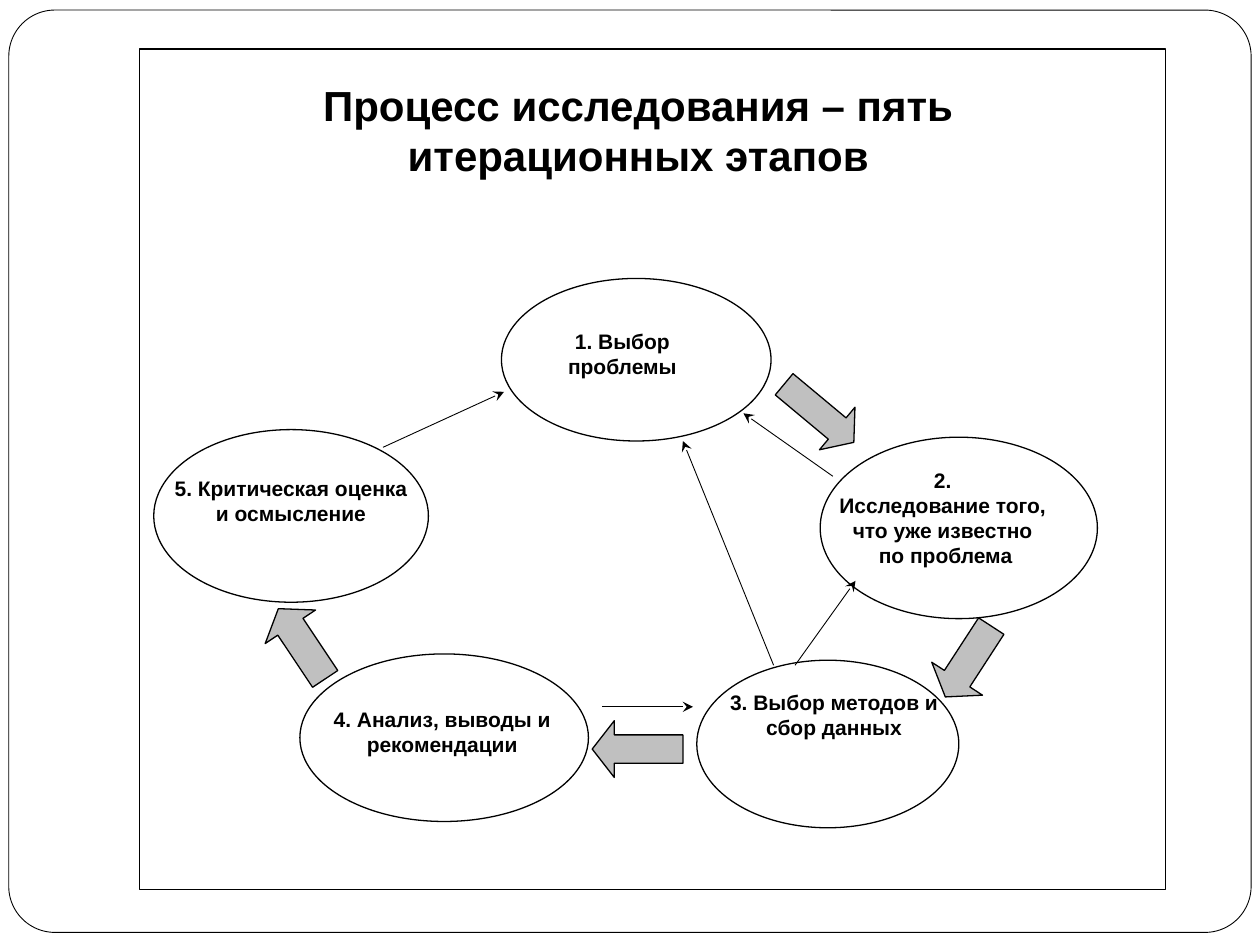
from dataclasses import dataclass
from typing import NamedTuple

from lxml.etree import SubElement
from pptx import Presentation
from pptx.dml.color import RGBColor as Rgb
from pptx.enum.shapes import MSO_CONNECTOR as Conn, MSO_SHAPE as Kind
from pptx.enum.text import MSO_ANCHOR as Anchor, MSO_AUTO_SIZE as Fit, PP_ALIGN as Align
from pptx.oxml.ns import qn
from pptx.util import Inches, Pt


@dataclass(frozen=True)
class Theme:
    font: str = "Arial"
    ink: Rgb = Rgb(0, 0, 0)
    paper: Rgb = Rgb(255, 255, 255)
    gray: Rgb = Rgb(192, 192, 192)
    head: int = 24
    label: int = 12
    thin: float = 0.5
    line: float = 0.75


class Box(NamedTuple):
    x: float
    y: float
    w: float
    h: float


class Stage(NamedTuple):
    oval: Box
    text: Box
    lines: list[str]


class Arrow(NamedTuple):
    box: Box
    turn: float
    tip: float


class Link(NamedTuple):
    x1: float
    y1: float
    x2: float
    y2: float


THEME = Theme()

STAGES = [
    Stage(Box(3.98, 2.21, 2.14, 1.29), Box(4.22, 2.61, 1.44, 0.67),
          ["1. Выбор проблемы"]),
    Stage(Box(6.51, 3.47, 2.2, 1.44), Box(6.07, 3.71, 2.87, 1.2),
          ["2. \vИсследование того, ", "что уже известно ", "по проблема"]),
    Stage(Box(5.53, 5.24, 2.08, 1.33), Box(5.66, 5.47, 1.92, 0.89),
          ["3. Выбор методов и сбор данных"]),
    Stage(Box(2.38, 5.19, 2.29, 1.33), Box(2.55, 5.61, 1.92, 0.67),
          ["4. Анализ, выводы и рекомендации"]),
    Stage(Box(1.22, 3.41, 2.18, 1.37), Box(1.35, 3.77, 1.92, 0.89),
          ["5. Критическая оценка и осмысление"]),
]

ARROWS = [
    Arrow(Box(6.14, 3.06, 0.72, 0.44), 219.8, 0.39),
    Arrow(Box(7.35, 5.01, 0.67, 0.48), 303, 0.36),
    Arrow(Box(4.7, 5.72, 0.72, 0.45), 0, 0.39),
    Arrow(Box(2.06, 4.87, 0.67, 0.48), 56.3, 0.36),
]

LINKS = [
    Link(3.04, 3.55, 4, 3.11),
    Link(6.61, 3.78, 5.9, 3.28),
    Link(6.31, 5.28, 6.79, 4.61),
    Link(4.78, 5.61, 5.5, 5.61),
    Link(6.14, 5.28, 5.42, 3.5),
]


def put_text(shape, lines: list[str], *, size: int, bold: bool = True,
             color: Rgb = THEME.ink, align=Align.CENTER) -> None:
    frame = shape.text_frame
    frame.word_wrap = True
    frame.auto_size = Fit.NONE
    frame.vertical_anchor = Anchor.TOP
    frame.margin_left = frame.margin_right = 0
    frame.margin_top = frame.margin_bottom = 0
    frame.text = "\n".join(lines)
    for para in frame.paragraphs:
        para.alignment = align
        para.space_before = Pt(0)
        para.line_spacing = 1.0
        for run in para.runs:
            font = run.font
            font.name, font.size, font.bold = THEME.font, Pt(size), bold
            font.color.rgb = color


def add_form(slide, kind: Kind, box: Box, *, fill: Rgb = THEME.paper,
             width: float = THEME.line):
    form = slide.shapes.add_shape(kind, *map(Inches, box))
    form.shadow.inherit = False
    form.fill.solid()
    form.fill.fore_color.rgb = fill
    form.line.color.rgb = THEME.ink
    form.line.width = Pt(width)
    return form


def add_title(slide, box: Box, text: str) -> None:
    title = slide.shapes.title
    title.left, title.top, title.width, title.height = map(Inches, box)
    put_text(title, [text], size=THEME.head)
    # Bring the title in front of the frames
    title._element.getparent().append(title._element)


def add_label(slide, stage: Stage) -> None:
    label = slide.shapes.add_textbox(*map(Inches, stage.text))
    put_text(label, stage.lines, size=THEME.label)


def add_arrow(slide, arrow: Arrow) -> None:
    form = add_form(slide, Kind.LEFT_ARROW, arrow.box, fill=THEME.gray)
    form.adjustments[0] = 0.5
    form.adjustments[1] = arrow.tip
    form.rotation = arrow.turn


def add_link(slide, link: Link) -> None:
    line = slide.shapes.add_connector(Conn.STRAIGHT, *map(Inches, link))
    line.line.color.rgb = THEME.ink
    line.line.width = Pt(THEME.thin)
    SubElement(line.line._get_or_add_ln(), qn("a:tailEnd"), type="stealth")
    SubElement(line._element.spPr, qn("a:effectLst"))


def main() -> None:
    deck = Presentation()
    deck.slide_width, deck.slide_height = Inches(10), Inches(7.5)
    slide = deck.slides.add_slide(deck.slide_layouts[5])

    # Frames and title
    edge = add_form(slide, Kind.ROUNDED_RECTANGLE, Box(0.07, 0.08, 9.86, 7.32),
                    width=THEME.thin)
    edge.adjustments[0] = 0.05
    add_form(slide, Kind.RECTANGLE, Box(1.11, 0.39, 8.14, 6.67))
    add_title(slide, Box(1.59, 0.63, 6.95, 1.31),
              "Процесс исследования – пять итерационных этапов")

    # Stages of the cycle
    for stage in STAGES:
        add_form(slide, Kind.OVAL, stage.oval)
        add_label(slide, stage)

    # Main course and ways back
    for arrow in ARROWS:
        add_arrow(slide, arrow)
    for link in LINKS:
        add_link(slide, link)

    deck.save("out.pptx")


if __name__ == "__main__":
    main()
